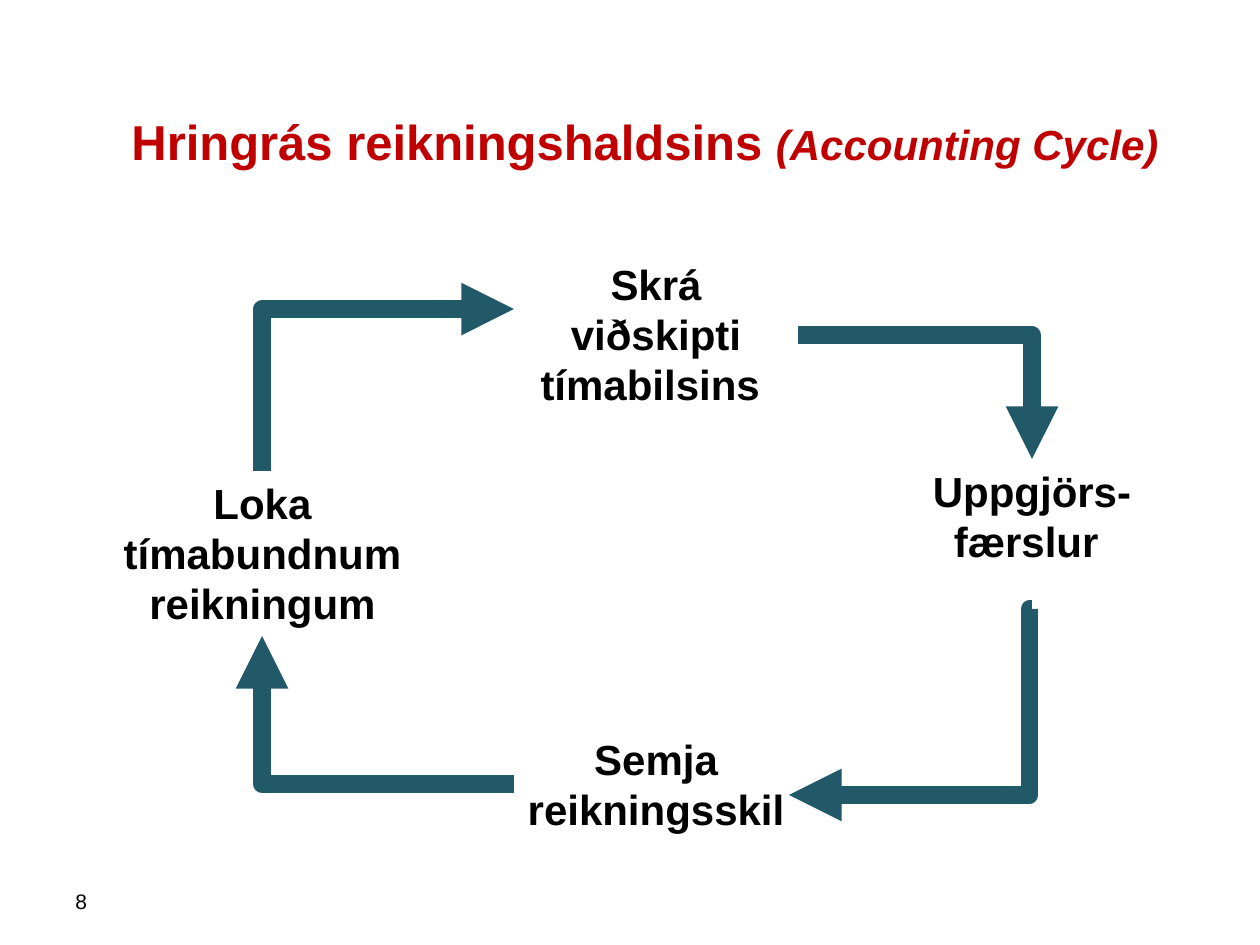
from lxml.etree import SubElement
from pptx import Presentation
from pptx.dml.color import RGBColor
from pptx.enum.shapes import MSO_CONNECTOR
from pptx.enum.text import MSO_ANCHOR, MSO_AUTO_SIZE, PP_ALIGN
from pptx.oxml.ns import qn
from pptx.util import Emu, Pt

RED = RGBColor(0xC0, 0x00, 0x00)
BLACK = RGBColor(0x00, 0x00, 0x00)
TEAL = RGBColor(0x21, 0x59, 0x68)
EMU_PER_PX = 914400 / 126

TITLE = {"size": Pt(28), "bold": True}
SUBTITLE = {"size": Pt(24), "bold": True, "italic": True}
STEP = {"size": Pt(24), "bold": True}
PAGE_NUMBER = {"size": Pt(12)}


def px(*lengths):
    return [Emu(round(length * EMU_PER_PX)) for length in lengths]


class SlideBuilder:
    font_name = "Arial"
    line_width = Pt(10)

    def __init__(self, slide):
        self.slide = slide

    def text(self, box, runs, color=BLACK, align=PP_ALIGN.CENTER,
             anchor=MSO_ANCHOR.MIDDLE, auto_size=MSO_AUTO_SIZE.NONE):
        """Add one paragraph made of (wording, font format) runs."""
        frame = self.slide.shapes.add_textbox(*px(*box)).text_frame
        frame_format = {"word_wrap": True, "vertical_anchor": anchor,
                        "auto_size": auto_size}
        for name, value in frame_format.items():
            setattr(frame, name, value)
        paragraph = frame.paragraphs[0]
        paragraph.alignment = align
        for wording, font_format in runs:
            run = paragraph.add_run()
            run.text = wording
            run.font.color.rgb = color
            for name, value in {"name": self.font_name, **font_format}.items():
                setattr(run.font, name, value)

    def step(self, box, wording):
        self.text(box, [(wording, STEP)], anchor=MSO_ANCHOR.TOP,
                  auto_size=MSO_AUTO_SIZE.SHAPE_TO_FIT_TEXT)

    def elbow_arrow(self, start, end, rotation=0, flip=False, bend=None):
        """Add a one-bend arrow, or a two-bend one when bend (0 to 1) is given."""
        width, height = abs(end[0] - start[0]), abs(end[1] - start[1])
        if rotation % 180:
            width, height = height, width
        left = (start[0] + end[0] - width) / 2
        top = (start[1] + end[1] - height) / 2
        connector = self.slide.shapes.add_connector(
            MSO_CONNECTOR.ELBOW, *px(left, top, left + width, top + height))
        connector.line.color.rgb = TEAL
        connector.line.width = self.line_width

        properties = connector._element.spPr
        transform = properties.find(qn("a:xfrm"))
        transform.set("rot", str(rotation * 60000))
        if flip:
            transform.set("flipV", "1")
        geometry = properties.find(qn("a:prstGeom"))
        if bend is None:
            geometry.set("prst", "bentConnector2")
        else:
            SubElement(geometry.find(qn("a:avLst")), qn("a:gd"),
                       name="adj1", fmla=f"val {round(bend * 100000)}")
        SubElement(properties.find(qn("a:ln")), qn("a:tailEnd"), type="triangle")
        SubElement(properties, qn("a:effectLst"))


def main():
    presentation = Presentation()
    presentation.slide_width, presentation.slide_height = px(1260, 945)
    builder = SlideBuilder(
        presentation.slides.add_slide(presentation.slide_layouts[6]))

    builder.text((63, 876, 294, 50), [("8", PAGE_NUMBER)], align=PP_ALIGN.LEFT)
    builder.text((74, 88, 1142, 106),
                 [("Hringrás reikningshaldsins ", TITLE),
                  ("(Accounting Cycle)", SUBTITLE)], color=RED)

    builder.step((514, 252, 284, 165), "Skrá viðskipti tímabilsins ")
    builder.step((858, 459, 348, 115), "Uppgjörs-færslur ")
    builder.step((514, 727, 284, 115), "Semja reikningsskil")
    builder.step((105, 471, 315, 165), "Loka tímabundnum reikningum")

    builder.elbow_arrow((798, 335), (1032, 459))
    builder.elbow_arrow((1032, 609), (789, 795), rotation=180, flip=True, bend=0.01)
    builder.elbow_arrow((514, 784), (262, 636), rotation=180)
    builder.elbow_arrow((262, 471), (514, 309), rotation=270)

    presentation.save("out.pptx")


if __name__ == "__main__":
    main()
